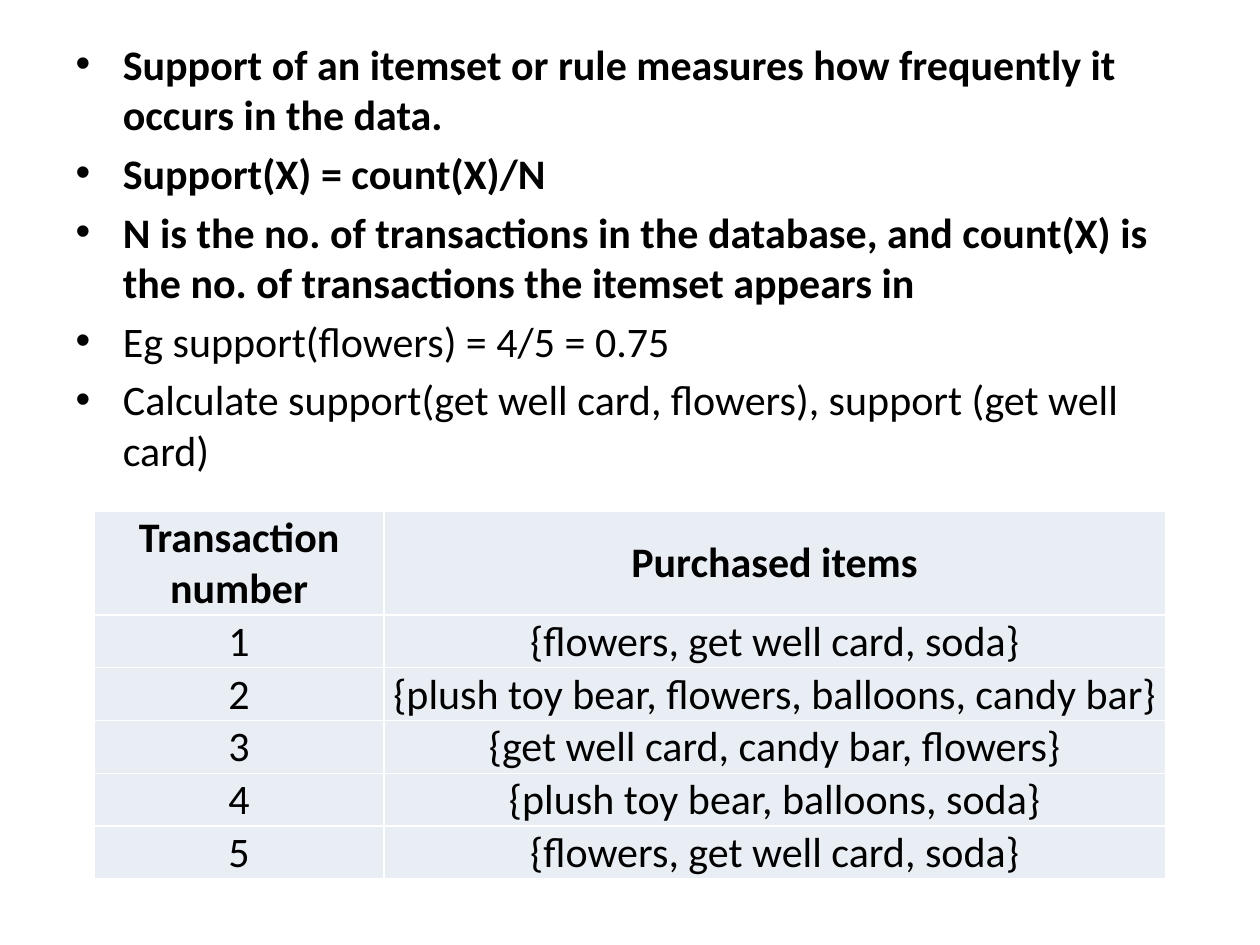
from lxml import etree
from pptx import Presentation
from pptx import util as u
from pptx.dml.color import RGBColor
from pptx.enum import text
from pptx.oxml.ns import qn

POINTS = [
    ("Support of an itemset or rule measures how frequently it occurs in the data.", True),
    ("Support(X) = count(X)/N", True),
    ("N is the no. of transactions in the database, and count(X) is "
     "the no. of transactions the itemset appears in", True),
    ("Eg support(flowers) = 4/5 = 0.75", False),
    ("Calculate support(get well card, flowers), support (get well card)", False),
]
HEADINGS = ("Transaction number", "Purchased items")
PURCHASES = [
    "{flowers, get well card, soda}",
    "{plush toy bear, flowers, balloons, candy bar}",
    "{get well card, candy bar, flowers}",
    "{plush toy bear, balloons, soda}",
    "{flowers, get well card, soda}",
]


def color(value):
    return RGBColor.from_string(value)


class SlideBuilder:
    font_name = "Calibri"
    font_size = u.Pt(24)
    text_color = "000000"
    cell_fill = "E9EDF4"
    border_color = "FFFFFF"

    def __init__(self, presentation):
        self.slide = presentation.slides.add_slide(presentation.slide_layouts[1])
        title = self.slide.shapes.title
        title.element.getparent().remove(title.element)

    def style(self, paragraph, bold):
        for run in paragraph.runs:
            run.font.name = self.font_name
            run.font.size = self.font_size
            run.font.bold = bold
            run.font.color.rgb = color(self.text_color)

    def bullets(self, points, left, top, width, height):
        body = self.slide.placeholders[1]
        body.left, body.top = u.Cm(left), u.Cm(top)
        body.width, body.height = u.Cm(width), u.Cm(height)
        frame = body.text_frame
        frame.text = "\n".join(point for point, _ in points)
        frame.auto_size = text.MSO_AUTO_SIZE.NONE
        frame.paragraphs[0].space_before = u.Pt(0)
        for paragraph, (_, bold) in zip(frame.paragraphs, points):
            self.style(paragraph, bold)

    def borders(self, cell):
        properties = cell._tc.get_or_add_tcPr()
        for side in ("lnL", "lnR", "lnT", "lnB"):
            line = etree.SubElement(properties, qn(f"a:{side}"), w=str(u.Pt(1)))
            fill = etree.SubElement(line, qn("a:solidFill"))
            etree.SubElement(fill, qn("a:srgbClr"), val=self.border_color)

    def cell(self, cell, content, bold):
        self.borders(cell)
        cell.fill.solid()
        cell.fill.fore_color.rgb = color(self.cell_fill)
        cell.margin_left = cell.margin_right = cell.margin_top = u.Cm(0.03)
        cell.margin_bottom = 0
        cell.vertical_anchor = text.MSO_ANCHOR.MIDDLE
        cell.text_frame.text = content
        paragraph = cell.text_frame.paragraphs[0]
        paragraph.alignment = text.PP_ALIGN.CENTER
        self.style(paragraph, bold)

    def table(self, rows, left, top, widths, header_height, row_height):
        heights = [header_height] + [row_height] * (len(rows) - 1)
        table = self.slide.shapes.add_table(
            len(rows), len(widths), u.Cm(left), u.Cm(top),
            u.Cm(sum(widths)), u.Cm(sum(heights))).table
        for column, width in zip(table.columns, widths):
            column.width = u.Cm(width)
        for index, (row, height) in enumerate(zip(table.rows, heights)):
            row.height = u.Cm(height)
            for cell, content in zip(row.cells, rows[index]):
                self.cell(cell, content, bold=index == 0)


def main():
    presentation = Presentation()
    presentation.slide_width, presentation.slide_height = u.Cm(25.4), u.Cm(19.05)
    builder = SlideBuilder(presentation)
    builder.bullets(POINTS, 1.27, 0.64, 22.86, 16.38)
    transactions = [(str(number), items) for number, items in enumerate(PURCHASES, 1)]
    builder.table([HEADINGS] + transactions, 1.9, 10.3, (5.84, 15.75), 1.85, 0.94)
    presentation.save("out.pptx")


if __name__ == "__main__":
    main()
